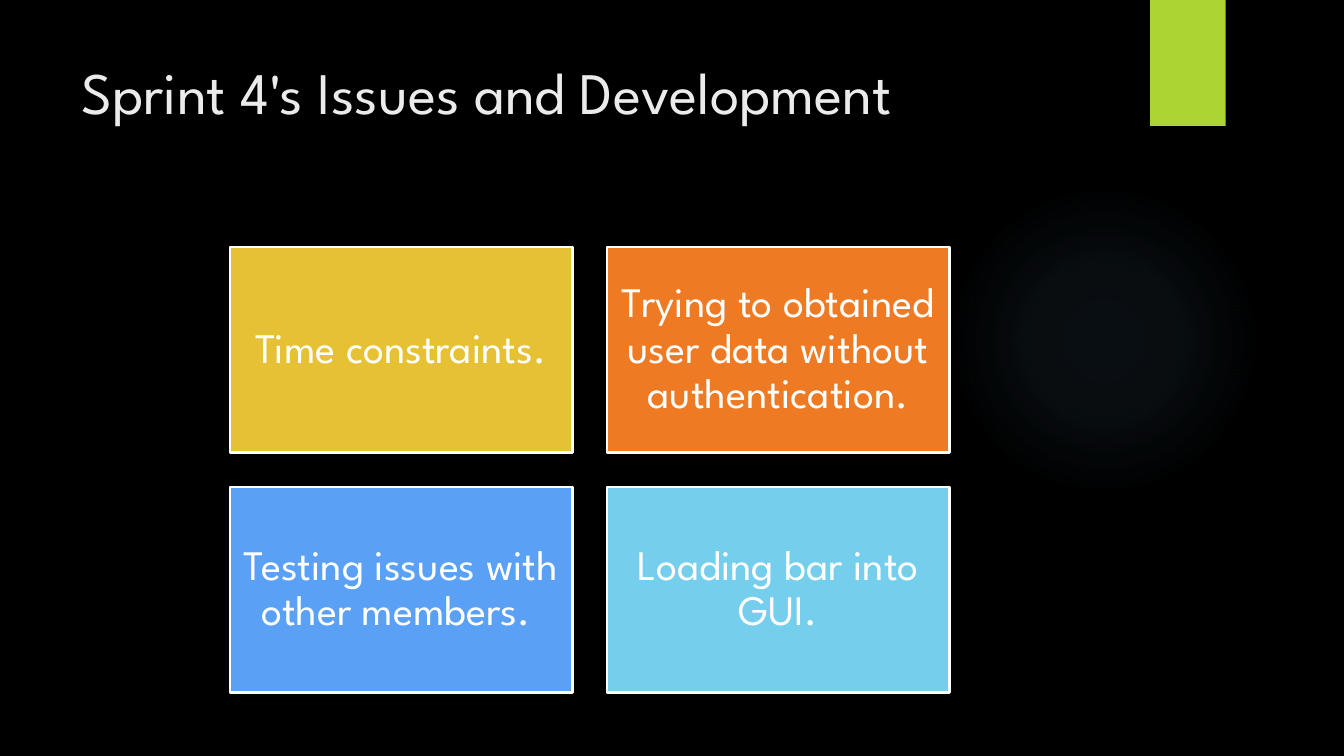
from pptx import Presentation
from pptx.dml.color import RGBColor
from pptx.enum.shapes import MSO_SHAPE
from pptx.enum.text import MSO_ANCHOR, MSO_AUTO_SIZE, PP_ALIGN
from pptx.oxml import parse_xml
from pptx.oxml.ns import nsdecls
from pptx.util import Pt

COLORS = {
    "background": "000000",
    "title": "EBEBEB",
    "white": "FFFFFF",
    "accent": "ACD433",
    "glow": "7AC4F0",
    "yellow": "E6C133",
    "orange": "EF7A24",
    "blue": "5AA0F5",
    "sky": "75CEEC",
}

# Issue cards, row by row
ISSUES = [
    ("Time constraints.", "yellow"),
    ("Trying to obtained user data without authentication.", "orange"),
    ("Testing issues with other members. ", "blue"),
    ("Loading bar into GUI.", "sky"),
]
COLUMNS = 2
CARD_LEFT, CARD_TOP = 164.2, 176.4
CARD_WIDTH, CARD_HEIGHT = 244.8, 146.9
CARD_GAP = 24.5


class SlideBuilder:
    """Holds the style and the current slide."""

    font_name = "League Spartan"

    def __init__(self, slide):
        self.slide = slide
        fill = slide.background.fill
        fill.solid()
        fill.fore_color.rgb = self.color("background")

    def color(self, name):
        return RGBColor.from_string(COLORS[name])

    def style(self, paragraph, size, color):
        paragraph.font.name = self.font_name
        paragraph.font.size = Pt(size)
        paragraph.font.color.rgb = self.color(color)

    def title(self, text, left, top, width, height):
        shape = self.slide.shapes.title
        shape.left, shape.top = Pt(left), Pt(top)
        shape.width, shape.height = Pt(width), Pt(height)
        frame = shape.text_frame
        frame.text = text
        frame.word_wrap = True
        frame.auto_size = MSO_AUTO_SIZE.NONE
        frame.vertical_anchor = MSO_ANCHOR.TOP
        paragraph = frame.paragraphs[0]
        paragraph.alignment = PP_ALIGN.LEFT
        self.style(paragraph, 42, "title")

    def block(self, kind, color, left, top, width, height):
        shape = self.slide.shapes.add_shape(
            kind, Pt(left), Pt(top), Pt(width), Pt(height))
        shape.shadow.inherit = False
        shape.fill.solid()
        shape.fill.fore_color.rgb = self.color(color)
        shape.line.fill.background()
        return shape

    def glow(self, left, top, size):
        shape = self.block(MSO_SHAPE.OVAL, "glow", left, top, size, size)
        stops = "".join(
            f'<a:gs pos="{position * 1000}"><a:srgbClr val="{COLORS["glow"]}">'
            f'<a:alpha val="{alpha * 1000}"/></a:srgbClr></a:gs>'
            for position, alpha in [(0, 7), (36, 6), (69, 0)])
        gradient = parse_xml(
            f'<a:gradFill {nsdecls("a")} rotWithShape="1"><a:gsLst>{stops}</a:gsLst>'
            '<a:path path="circle"><a:fillToRect l="50000" t="50000" '
            'r="50000" b="50000"/></a:path></a:gradFill>')
        properties = shape._element.spPr
        properties.replace(properties.find(
            "{http://schemas.openxmlformats.org/drawingml/2006/main}solidFill"), gradient)

    def card(self, text, color, left, top):
        shape = self.block(
            MSO_SHAPE.RECTANGLE, color, left, top, CARD_WIDTH, CARD_HEIGHT)
        shape.line.color.rgb = self.color("white")
        shape.line.width = Pt(1.5)
        frame = shape.text_frame
        frame.word_wrap = True
        frame.vertical_anchor = MSO_ANCHOR.MIDDLE
        frame.margin_left = frame.margin_right = Pt(9)
        frame.margin_top = frame.margin_bottom = Pt(9)
        frame.text = text
        paragraph = frame.paragraphs[0]
        paragraph.alignment = PP_ALIGN.CENTER
        paragraph.line_spacing = 0.9
        self.style(paragraph, 30, "white")


def main():
    presentation = Presentation()
    presentation.slide_width, presentation.slide_height = Pt(960), Pt(540)
    title_only = presentation.slide_layouts[5]
    builder = SlideBuilder(presentation.slides.add_slide(title_only))

    # Backdrop
    builder.glow(677.5, 131.8, 221.8)
    builder.block(MSO_SHAPE.RECTANGLE, "accent", 821.5, 0, 54, 90)

    # Title
    builder.title("Sprint 4's Issues and Development", 51.1, 36, 740.9, 110.2)

    # Card grid
    for index, (text, color) in enumerate(ISSUES):
        row, column = divmod(index, COLUMNS)
        builder.card(text, color,
                     CARD_LEFT + column * (CARD_WIDTH + CARD_GAP),
                     CARD_TOP + row * (CARD_HEIGHT + CARD_GAP))

    presentation.save("out.pptx")


if __name__ == "__main__":
    main()
